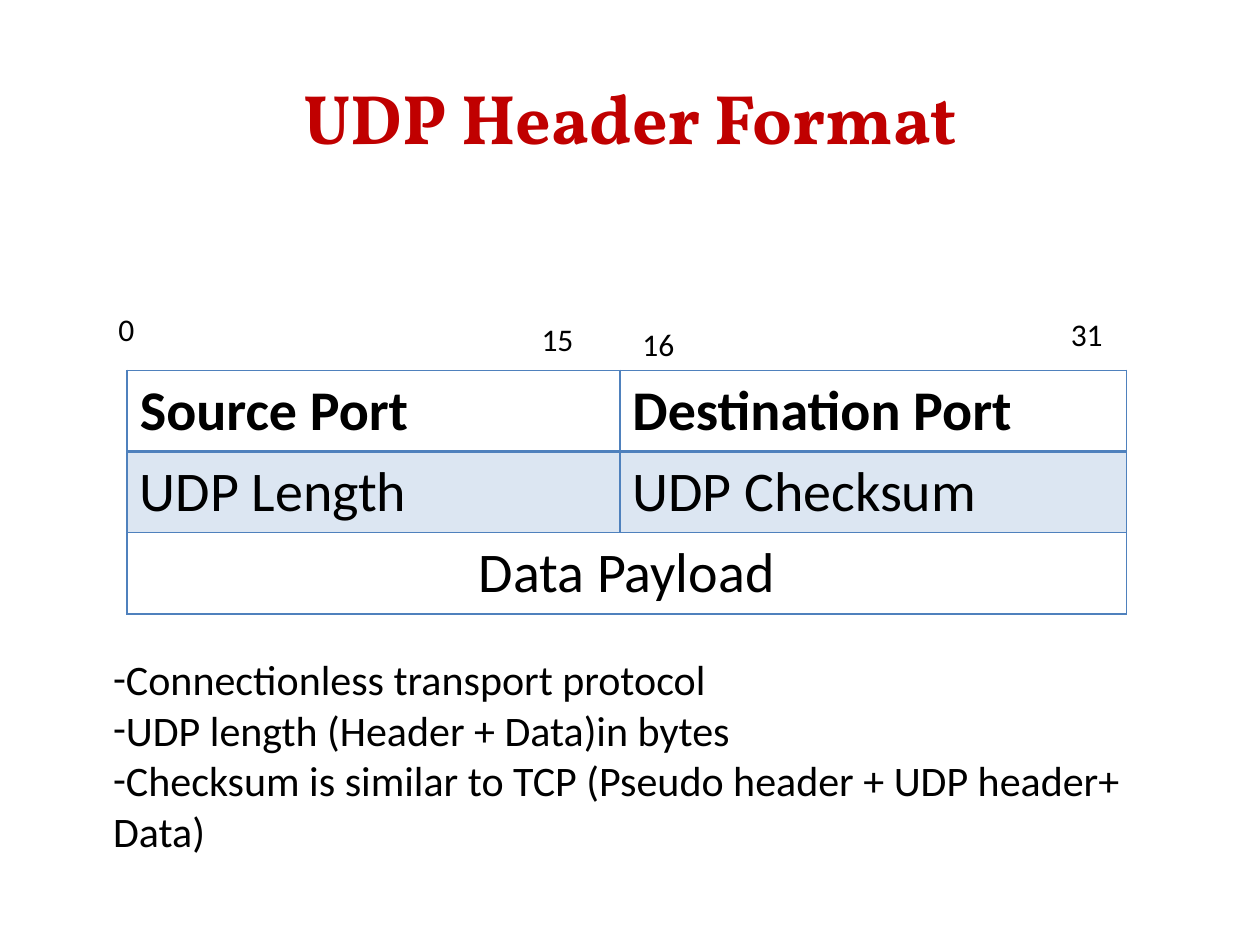
from lxml.etree import SubElement
from pptx import Presentation
from pptx.dml.color import RGBColor
from pptx.enum.text import MSO_ANCHOR, PP_ALIGN
from pptx.oxml.ns import qn
from pptx.util import Inches, Pt

COLORS = {"title": "C00000", "text": "000000", "border": "4F81BD",
          "band": "DCE6F2", "plain": "FFFFFF"}
UNIT = Inches(0.1)  # the slide is a grid of 100 columns by 75 rows


def grid(*lengths):
    return [round(length * UNIT) for length in lengths]


def write(paragraph, text, size=18, font="Calibri", color="text", bold=False,
          align=PP_ALIGN.LEFT):
    paragraph.alignment = align
    run = paragraph.add_run()
    run.text = text
    run.font.size = Pt(size)
    run.font.name = font
    run.font.bold = bold
    run.font.color.rgb = RGBColor.from_string(COLORS[color])


def set_border(cell, side, width):
    line = SubElement(cell._tc.get_or_add_tcPr(), qn(f"a:ln{side}"), w=str(Pt(width)))
    fill = SubElement(line, qn("a:solidFill"))
    SubElement(fill, qn("a:srgbClr"), val=COLORS["border"])


def set_dash(paragraph):
    properties = paragraph._p.get_or_add_pPr()
    properties.set("marL", "0")
    properties.set("indent", "0")
    SubElement(properties, qn("a:buFont"), typeface="Calibri")
    SubElement(properties, qn("a:buChar"), char="-")


class HeaderSlide:
    """Holds the current slide and draws its elements on the grid."""

    def __init__(self, presentation):
        self.slide = presentation.slides.add_slide(presentation.slide_layouts[5])

    def title(self, text, box):
        title = self.slide.shapes.title
        title.left, title.top, title.width, title.height = grid(*box)
        title.text_frame.vertical_anchor = MSO_ANCHOR.MIDDLE
        write(title.text_frame.paragraphs[0], text, size=40, font="Vollkorn",
              color="title", bold=True, align=PP_ALIGN.CENTER)

    def text(self, lines, box, dashed=False, **style):
        frame = self.slide.shapes.add_textbox(*grid(*box)).text_frame
        frame.word_wrap = True
        for index, line in enumerate(lines):
            paragraph = frame.add_paragraph() if index else frame.paragraphs[0]
            write(paragraph, line, **style)
            if dashed:
                set_dash(paragraph)

    def field_table(self, rows, left, top, widths, row_height):
        """Draw the header fields; a row with one field spans all columns."""
        box = grid(left, top, sum(widths), row_height * len(rows))
        table = self.slide.shapes.add_table(len(rows), len(widths), *box).table
        table.first_row = table.horz_banding = False
        for column, width in zip(table.columns, grid(*widths)):
            column.width = width
        for r, fields in enumerate(rows):
            spans = len(fields) < len(widths)
            for c in range(len(widths)):
                cell = table.cell(r, c)
                for side in "LRTB":
                    header_rule = (r, side) in ((0, "B"), (1, "T"))
                    set_border(cell, side, 2 if header_rule else 1)
                cell.fill.solid()
                cell.fill.fore_color.rgb = RGBColor.from_string(
                    COLORS["band" if r % 2 else "plain"])
            if spans:
                table.cell(r, 0).merge(table.cell(r, len(widths) - 1))
            for c, field in enumerate(fields):
                write(table.cell(r, c).text_frame.paragraphs[0], field, size=32,
                      bold=r == 0, align=PP_ALIGN.CENTER if spans else PP_ALIGN.LEFT)


def main():
    presentation = Presentation()
    presentation.slide_width, presentation.slide_height = grid(100, 75)
    page = HeaderSlide(presentation)
    page.title("UDP Header Format", (5, 3, 90, 12.5))
    page.field_table([["Source Port", "Destination Port"],
                      ["UDP Length", "UDP Checksum"],
                      ["Data Payload"]],
                     left=10.1, top=29.4, widths=(39.1, 40.2), row_height=6.4)
    for bit, left, top, width in (("0", 8.4, 24.1, 3.8), ("15", 42, 24.9, 6.3),
                                  ("16", 50, 25.3, 6.3), ("31", 84, 24.5, 6.3)):
        page.text([bit], (left, top, width, 4))
    page.text(["Connectionless transport protocol",
               "UDP length (Header + Data)in bytes",
               "Checksum is similar to TCP (Pseudo header + UDP header+ Data)"],
              (8, 51.4, 84, 20.2), dashed=True, size=24)
    presentation.save("out.pptx")


if __name__ == "__main__":
    main()
